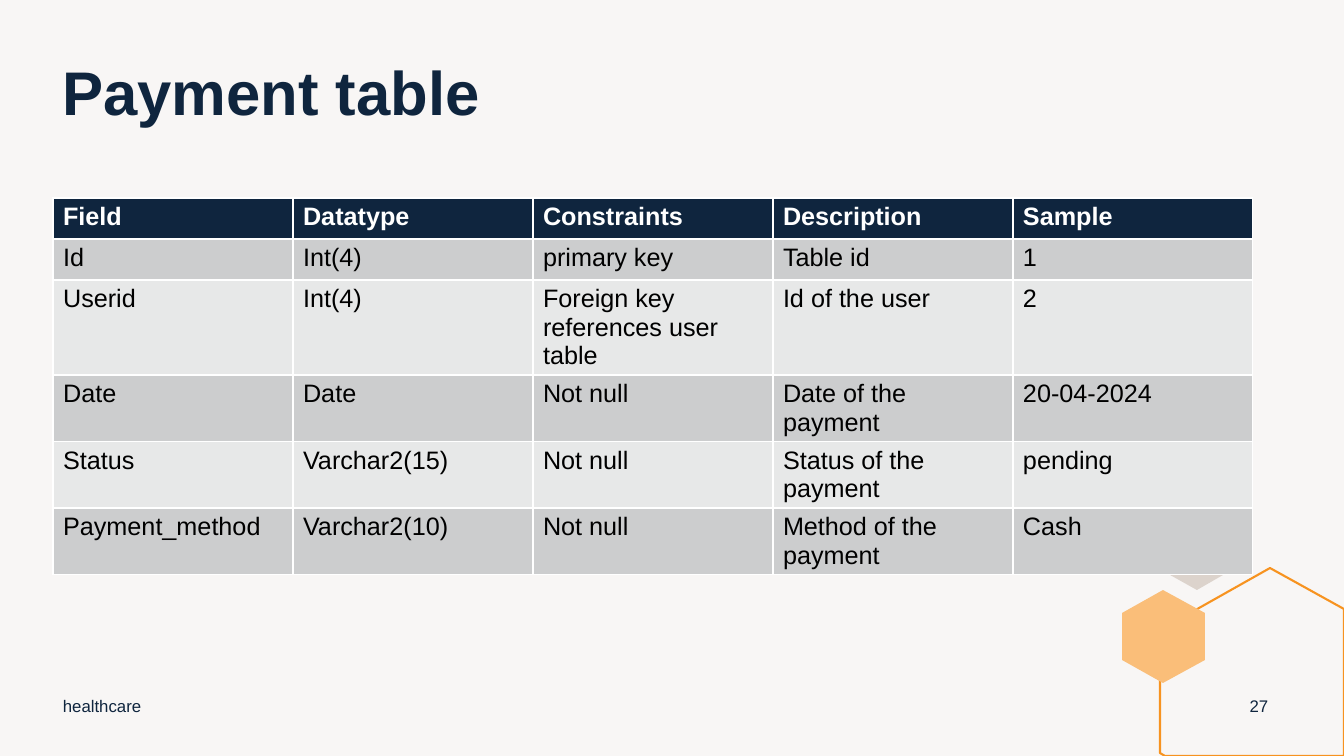
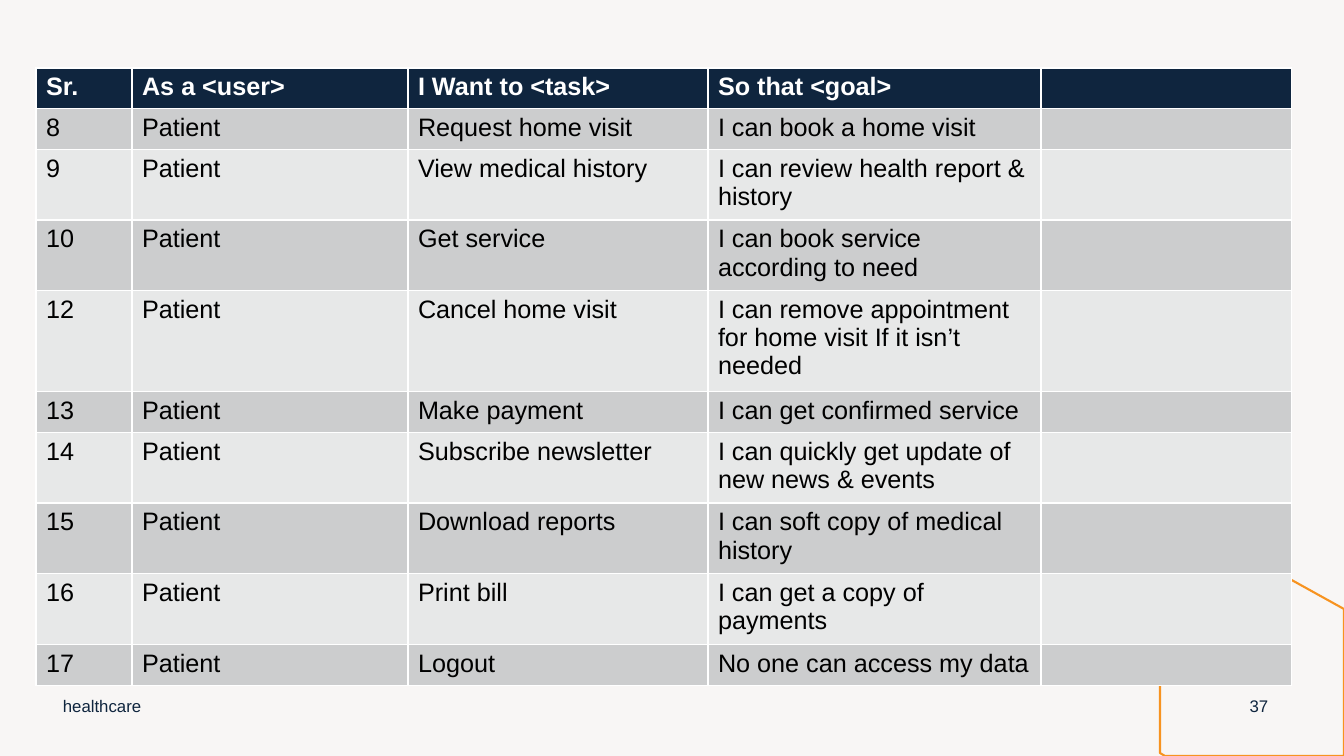
"""Build two healthcare slides: a payment table and a list of patient stories."""
from pptx import Presentation
from pptx.dml.color import RGBColor
from pptx.enum.text import MSO_ANCHOR, PP_ALIGN
from pptx.util import Emu, Pt

PX = 914400 / 100.8
HUES = {
    "back": "F8F6F5",
    "navy": "0F253E",
    "sand": "DCD3CC",
    "orange": "F79320",
    "peach": "FABE79",
    "dark": "CCCDCE",
    "light": "E7E8E8",
    "white": "FFFFFF",
    "black": "000000",
}
HEXES = [
    ([(1197, 514), (1230, 533), (1230, 571), (1197, 590), (1163, 571), (1163, 533)], "sand", None),
    ([(1270, 568), (1344, 609), (1344, 756), (1165, 756), (1160, 753), (1160, 630)], None, "orange"),
    ([(1163, 590), (1205, 613), (1205, 660), (1163, 683), (1122, 660), (1122, 613)], "peach", None),
]
LINES = {1: 41, 2: 66, 3: 95}
PAGES = [
    {
        "title": "Payment table",
        "number": "27",
        "place": (53, 198),
        "cols": [240] * 5,
        "head": 41,
        "lines": [1, 3, 2, 2, 2],
        "rows": [
            ("Field", "Datatype", "Constraints", "Description", "Sample"),
            ("Id", "Int(4)", "primary key", "Table id", "1"),
            ("Userid", "Int(4)", "Foreign key references user table", "Id of the user", "2"),
            ("Date", "Date", "Not null", "Date of the payment", "20-04-2024"),
            ("Status", "Varchar2(15)", "Not null", "Status of the payment", "pending"),
            ("Payment_method", "Varchar2(10)", "Not null", "Method of the payment", "Cash"),
        ],
    },
    {
        "title": None,
        "number": "37",
        "place": (36, 68),
        "cols": [96, 276, 300, 333, 251],
        "head": 18,
        "lines": [1, 2, 2, 3, 1, 2, 2, 2, 1],
        "rows": [
            ("Sr.", "As a <user>", "I Want to <task>", "So that <goal>", ""),
            ("8", "Patient", "Request home visit", "I can book a home visit", ""),
            ("9", "Patient", "View medical history", "I can review health report & history", ""),
            ("10", "Patient", "Get service", "I can book service according to need", ""),
            ("12", "Patient", "Cancel home visit",
             "I can remove appointment for home visit If it isn’t needed", ""),
            ("13", "Patient", "Make payment", "I can get confirmed service", ""),
            ("14", "Patient", "Subscribe newsletter",
             "I can quickly get update of new news & events", ""),
            ("15", "Patient", "Download reports", "I can soft copy of medical history", ""),
            ("16", "Patient", "Print bill", "I can get a copy of payments", ""),
            ("17", "Patient", "Logout", "No one can access my data", ""),
        ],
    },
]


def px(*sizes):
    """Turn pixel lengths into EMU."""
    return [Emu(round(size * PX)) for size in sizes]


def write(frame, text, size, hue, bold=False):
    """Set the text of a frame and format its first paragraph."""
    frame.text = text
    para = frame.paragraphs[0]
    para.font.size = Pt(size)
    for run in para.runs:
        run.font.name = "Arial"
        run.font.size = Pt(size)
        run.font.bold = bold
        run.font.color.rgb = RGBColor.from_string(HUES[hue])
    return para


deck = Presentation()
deck.slide_width, deck.slide_height = px(1344, 756)
back = deck.slide_master.background.fill
back.solid()
back.fore_color.rgb = RGBColor.from_string(HUES["back"])

for page in PAGES:
    slide = deck.slides.add_slide(deck.slide_layouts[5 if page["title"] else 6])
    shapes = slide.shapes

    for points, fill, line in HEXES:
        pen = shapes.build_freeform(*points[0], scale=PX)
        pen.add_line_segments(points[1:], close=True)
        hexagon = pen.convert_to_shape()
        hexagon.shadow.inherit = False
        if fill:
            hexagon.fill.solid()
            hexagon.fill.fore_color.rgb = RGBColor.from_string(HUES[fill])
        else:
            hexagon.fill.background()
        if line:
            hexagon.line.color.rgb = RGBColor.from_string(HUES[line])
            hexagon.line.width = Pt(1.5)
        else:
            hexagon.line.fill.background()

    if page["title"]:
        title = shapes.title
        title.left, title.top, title.width, title.height = px(52, 57, 1201, 156)
        title.text_frame.vertical_anchor = MSO_ANCHOR.TOP
        para = write(title.text_frame, page["title"], 44, "navy", True)
        para.alignment = PP_ALIGN.LEFT
        para.line_spacing = 0.9

    rows, cols = page["rows"], page["cols"]
    highs = [page["head"]] + [LINES[count] for count in page["lines"]]
    place = px(*page["place"], sum(cols), sum(highs))
    table = shapes.add_table(len(rows), len(cols), *place).table
    for col, width in zip(table.columns, px(*cols)):
        col.width = width
    for row, high in zip(table.rows, px(*highs)):
        row.height = high
    for i, texts in enumerate(rows):
        head = i == 0
        fill = "navy" if head else "dark" if i % 2 else "light"
        for j, text in enumerate(texts):
            cell = table.cell(i, j)
            cell.fill.solid()
            cell.fill.fore_color.rgb = RGBColor.from_string(HUES[fill])
            write(cell.text_frame, text, 18, "white" if head else "black", head)

    for text, left, width, align in [
        ("healthcare", 53, 454, PP_ALIGN.LEFT),
        (page["number"], 1234, 50, PP_ALIGN.CENTER),
    ]:
        frame = shapes.add_textbox(*px(left, 686, width, 40)).text_frame
        frame.word_wrap = True
        frame.vertical_anchor = MSO_ANCHOR.MIDDLE
        write(frame, text, 12, "navy").alignment = align

deck.save("out.pptx")
